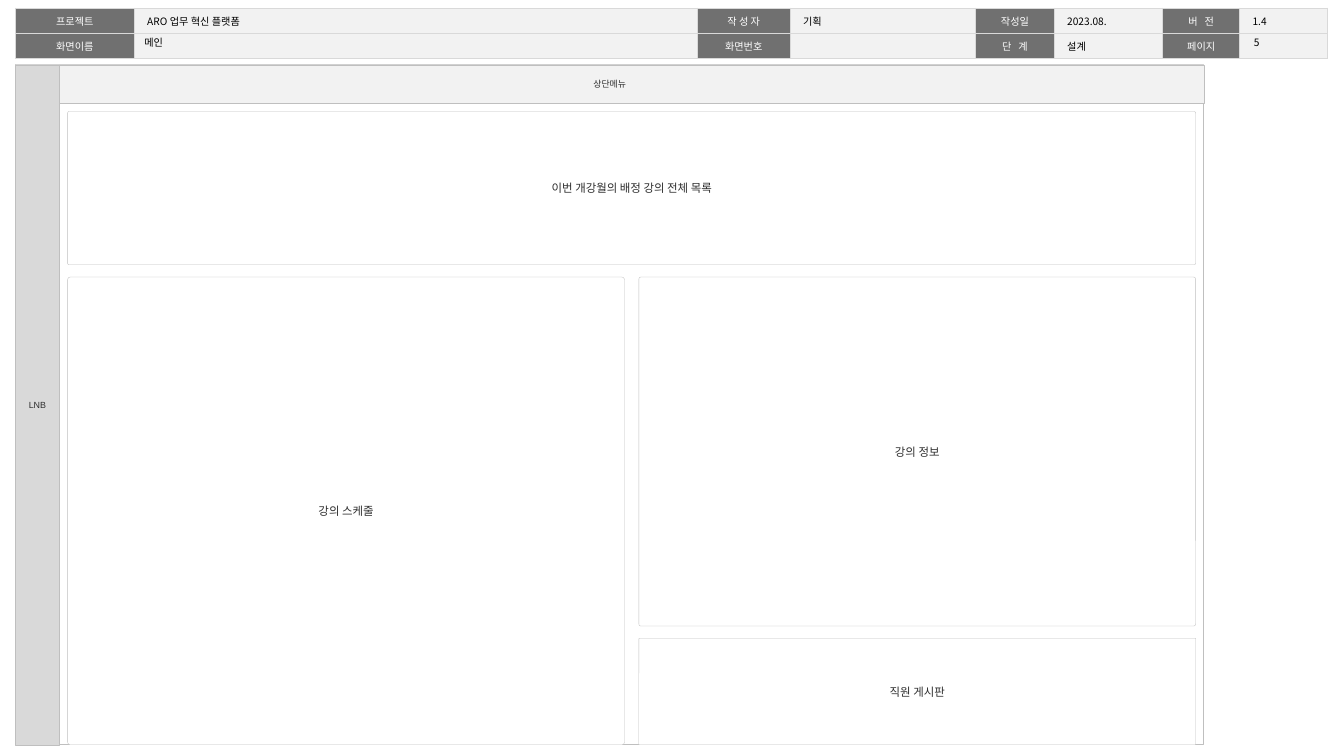
from lxml import etree
from pptx import Presentation
from pptx.dml.color import RGBColor
from pptx.enum.shapes import MSO_SHAPE
from pptx.enum.text import MSO_ANCHOR, MSO_AUTO_SIZE, PP_ALIGN
from pptx.oxml.ns import qn
from pptx.util import Cm, Pt

RECTANGLE = MSO_SHAPE.RECTANGLE
ROUNDED = MSO_SHAPE.ROUNDED_RECTANGLE
CENTER = PP_ALIGN.CENTER
LEFT = PP_ALIGN.LEFT
MIDDLE = MSO_ANCHOR.MIDDLE
NO_AUTOFIT = MSO_AUTO_SIZE.NONE

KOREAN_FONT = "Noto Sans CJK KR"
SHAPE_FONT = "Arial"
BLACK, WHITE, DARK = "000000", "FFFFFF", "2E2E2E"
LABEL_FILL, VALUE_FILL, MENU_FILL = "707070", "F2F2F2", "D9D9D9"
OUTLINE, TABLE_BORDER = "BFBFBF", "D9D9D9"

SLIDE_WIDTH, SLIDE_HEIGHT = 37.34, 21.01
MARGIN = 0.43
COLUMN_WIDTHS = [3.3, 15.65, 2.57, 5.16, 2.18, 3.02, 2.13, 2.44]
ROW_HEIGHT = 0.62
HEADER_ROWS = [
    ["프로젝트", "ARO 업무 혁신 플랫폼", "작 성 자", "기획",
     "작성일", "2023.08.", "버   전", "1.4"],
    ["화면이름", "", "화면번호", "", "단   계", "설계", "페이지", ""],
]
FRAME_TOP, FRAME_WIDTH, FRAME_HEIGHT = 1.8, 33.02, 18.9
FRAME_BOTTOM = FRAME_TOP + FRAME_HEIGHT
CARD_LEFT, CARD_TOP = 1.88, 3.1
CARD_WIDTH = 15.47
COLUMN_GAP, ROW_GAP = 0.4, 0.34
LIST_HEIGHT, INFO_HEIGHT = 4.26, 9.7


def color(value):
    return RGBColor.from_string(value)


def apply_format(target, values):
    for name, value in values.items():
        setattr(target, name, value)


def place(shape, left, top, width, height):
    apply_format(shape, {"left": Cm(left), "top": Cm(top),
                         "width": Cm(width), "height": Cm(height)})


def write(text_frame, text, size, font_name, font_color, alignment=LEFT):
    paragraph = text_frame.paragraphs[0]
    paragraph.alignment = alignment
    run = paragraph.add_run()
    run.text = text
    apply_format(run.font, {"size": Pt(size), "name": font_name, "bold": False})
    run.font.color.rgb = color(font_color)
    east_asian = etree.SubElement(run.font._element, qn("a:ea"))
    east_asian.set("typeface", KOREAN_FONT)
    return paragraph


def add_box(slide, bounds, text="", kind=RECTANGLE, fill=WHITE, line_width=0.25,
            size=7, inset=0, wrap=False, corner=None):
    shape = slide.shapes.add_shape(kind, *[Cm(length) for length in bounds])
    shape.shadow.inherit = False
    shape.fill.solid()
    shape.fill.fore_color.rgb = color(fill)
    shape.line.color.rgb = color(OUTLINE)
    shape.line.width = Pt(line_width)
    if corner is not None:
        shape.adjustments[0] = corner
    apply_format(shape.text_frame, {
        "margin_left": Cm(inset), "margin_right": Cm(inset), "margin_top": 0,
        "margin_bottom": 0, "vertical_anchor": MIDDLE, "word_wrap": wrap})
    if text:
        write(shape.text_frame, text, size, SHAPE_FONT, DARK, CENTER)


def add_card(slide, bounds, text, corner=0.006):
    add_box(slide, bounds, text, ROUNDED, size=9, inset=0.2, wrap=True, corner=corner)


def add_borders(cell):
    properties = cell._tc.get_or_add_tcPr()
    for side in ("a:lnL", "a:lnR", "a:lnT", "a:lnB"):
        line = etree.SubElement(properties, qn(side), w=str(Pt(1)))
        fill = etree.SubElement(line, qn("a:solidFill"))
        etree.SubElement(fill, qn("a:srgbClr"), val=TABLE_BORDER)


def format_cell(cell, text, is_label):
    add_borders(cell)
    cell.fill.solid()
    cell.fill.fore_color.rgb = color(LABEL_FILL if is_label else VALUE_FILL)
    apply_format(cell, {
        "margin_left": Cm(0.36), "margin_right": Cm(0.36), "margin_top": Cm(0.13),
        "margin_bottom": Cm(0.13), "vertical_anchor": MIDDLE})
    paragraph = cell.text_frame.paragraphs[0]
    if text:
        write(cell.text_frame, text, 8, KOREAN_FONT, WHITE if is_label else BLACK,
              CENTER if is_label else LEFT)
    else:
        paragraph._p.get_or_add_endParaRPr().set("sz", "800")
    paragraph.line_spacing = 1.05


def add_header_table(slide):
    frame = slide.shapes.add_table(
        len(HEADER_ROWS), len(COLUMN_WIDTHS), Cm(MARGIN), Cm(0.23),
        Cm(sum(COLUMN_WIDTHS)), Cm(ROW_HEIGHT * len(HEADER_ROWS)))
    table = frame.table
    apply_format(table, {"first_row": False, "horz_banding": False})
    for column, width in zip(table.columns, COLUMN_WIDTHS):
        column.width = Cm(width)
    for row_index, texts in enumerate(HEADER_ROWS):
        table.rows[row_index].height = Cm(ROW_HEIGHT)
        for column_index, text in enumerate(texts):
            format_cell(table.cell(row_index, column_index), text, column_index % 2 == 0)


def add_layout_frame(slide):
    add_box(slide, (MARGIN, FRAME_TOP, FRAME_WIDTH, FRAME_HEIGHT), line_width=0.75)
    add_box(slide, (MARGIN, FRAME_TOP, FRAME_WIDTH, 1.07), "상단메뉴", fill=VALUE_FILL)
    add_box(slide, (MARGIN, FRAME_TOP, 1.22, FRAME_HEIGHT), "LNB", fill=MENU_FILL)


def write_header_field(shape, bounds, text, inset):
    place(shape, *bounds)
    apply_format(shape.text_frame, {
        "margin_left": Cm(inset), "margin_right": Cm(inset), "margin_top": Cm(0.13),
        "margin_bottom": Cm(0.13), "vertical_anchor": MIDDLE, "word_wrap": True,
        "auto_size": NO_AUTOFIT})
    write(shape.text_frame, text, 8, KOREAN_FONT, BLACK)


def add_header_fields(slide):
    title = slide.shapes.title
    slide.shapes._spTree.append(title._element)
    write_header_field(title, (3.73, 0.97, 15.01, 0.41), "메인", 0.28)
    page_number = slide.shapes.add_textbox(0, 0, 0, 0)
    write_header_field(page_number, (34.59, 0.97, 1.83, 0.41), "5", 0.25)


def add_cards(slide):
    lower_top = CARD_TOP + LIST_HEIGHT + ROW_GAP
    right_left = CARD_LEFT + CARD_WIDTH + COLUMN_GAP
    board_top = lower_top + INFO_HEIGHT + ROW_GAP
    add_card(slide, (CARD_LEFT, CARD_TOP, 2 * CARD_WIDTH + COLUMN_GAP, LIST_HEIGHT),
             "이번 개강월의 배정 강의 전체 목록", 0.01)
    add_card(slide, (CARD_LEFT, lower_top, CARD_WIDTH, FRAME_BOTTOM - lower_top),
             "강의 스케줄")
    add_card(slide, (right_left, lower_top, CARD_WIDTH, INFO_HEIGHT), "강의 정보")
    add_card(slide, (right_left, board_top, CARD_WIDTH, FRAME_BOTTOM - board_top),
             "직원 게시판")


def main():
    presentation = Presentation()
    presentation.slide_width = Cm(SLIDE_WIDTH)
    presentation.slide_height = Cm(SLIDE_HEIGHT)
    slide = presentation.slides.add_slide(presentation.slide_layouts[5])
    add_header_table(slide)
    add_layout_frame(slide)
    add_header_fields(slide)
    add_cards(slide)
    presentation.save("out.pptx")


if __name__ == "__main__":
    main()
